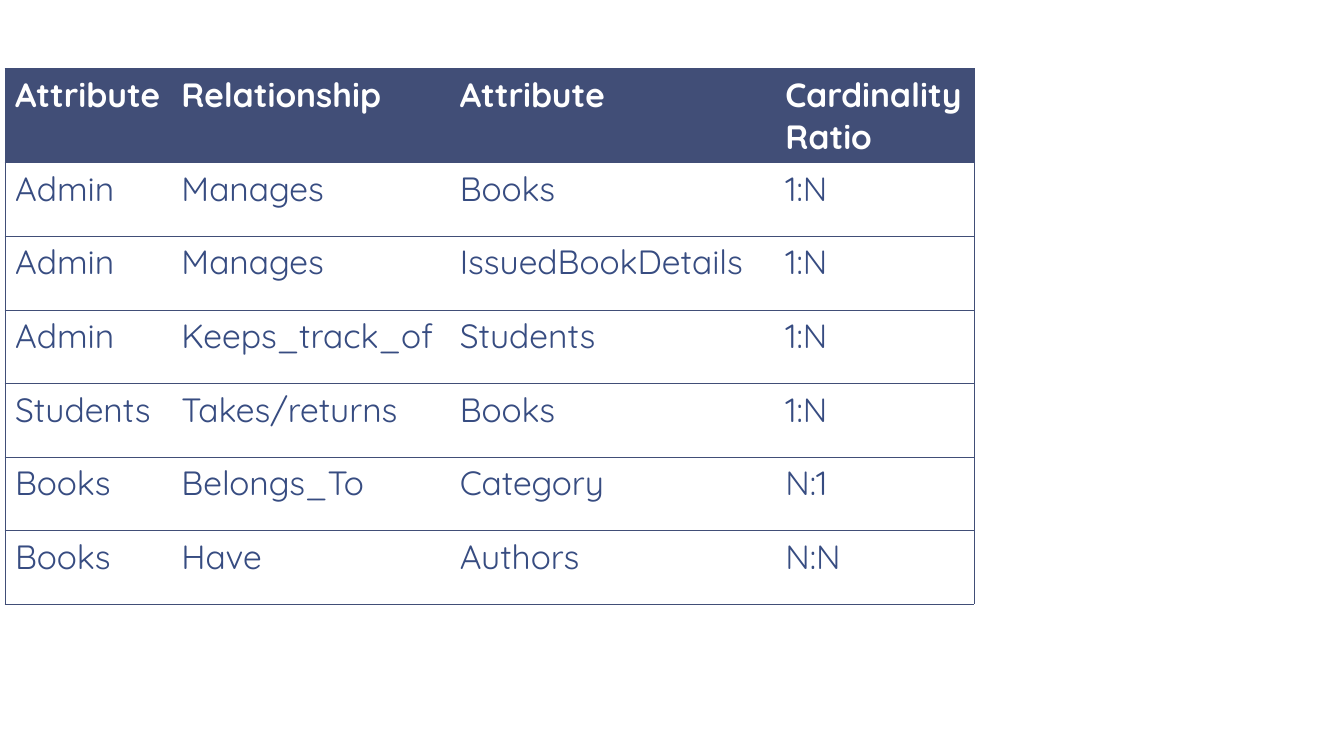
from dataclasses import dataclass

from lxml.etree import SubElement
from pptx import Presentation
from pptx.dml.color import RGBColor
from pptx.oxml.ns import qn
from pptx.util import Inches, Pt


@dataclass(frozen=True)
class Theme:
    font: str = "Quicksand"
    size: float = 24
    line: float = 0.5
    navy: str = "414E77"
    ink: str = "374C81"
    white: str = "FFFFFF"


@dataclass(frozen=True)
class Link:
    """One relationship between two entities."""
    source: str
    verb: str
    target: str
    ratio: str

    def texts(self) -> tuple[str, ...]:
        return self.source, self.verb, self.target, self.ratio


THEME = Theme()
HEAD = Link("Attribute", "Relationship", "Attribute", "Cardinality Ratio")
LINKS = [
    Link("Admin", "Manages", "Books", "1:N"),
    Link("Admin", "Manages", "IssuedBookDetails", "1:N"),
    Link("Admin", "Keeps_track_of", "Students", "1:N"),
    Link("Students", "Takes/returns", "Books", "1:N"),
    Link("Books", "Belongs_To", "Category", "N:1"),
    Link("Books", "Have", "Authors", "N:N"),
]
WIDTHS = [1.65, 2.76, 3.23, 1.97]
HEIGHT = 0.73
LEFT, TOP = 0.05, 0.68


def set_edges(cell, first: bool, last: bool) -> None:
    """Rule each row above and below; close only the table's outer sides."""
    shown = {"a:lnL": first, "a:lnR": last, "a:lnT": True, "a:lnB": True}
    props = cell._tc.get_or_add_tcPr()
    for tag, drawn in shown.items():
        edge = SubElement(props, qn(tag), w=str(Pt(THEME.line)))
        if drawn:
            fill = SubElement(edge, qn("a:solidFill"))
            SubElement(fill, qn("a:srgbClr"), val=THEME.navy)
        else:
            SubElement(edge, qn("a:noFill"))


def set_cell(cell, text: str, head: bool) -> None:
    if head:
        cell.fill.solid()
        cell.fill.fore_color.rgb = RGBColor.from_string(THEME.navy)
    else:
        cell.fill.background()
    run = cell.text_frame.paragraphs[0].add_run()
    run.text = text
    style = {"name": THEME.font, "size": Pt(THEME.size), "bold": head}
    for name, value in style.items():
        setattr(run.font, name, value)
    color = THEME.white if head else THEME.ink
    run.font.color.rgb = RGBColor.from_string(color)


def add_links(slide, links: list[Link]) -> None:
    rows = [HEAD, *links]
    frame = slide.shapes.add_table(
        len(rows), len(WIDTHS), Inches(LEFT), Inches(TOP),
        Inches(sum(WIDTHS)), Inches(HEIGHT * len(rows)))
    table = frame.table
    for name, value in {"first_row": False, "horz_banding": False}.items():
        setattr(table, name, value)
    for column, width in zip(table.columns, WIDTHS):
        column.width = Inches(width)
    for r, link in enumerate(rows):
        table.rows[r].height = Inches(HEIGHT)
        for c, text in enumerate(link.texts()):
            cell = table.cell(r, c)
            set_edges(cell, c == 0, c == len(WIDTHS) - 1)
            set_cell(cell, text, r == 0)


def main() -> None:
    deck = Presentation()
    deck.slide_width, deck.slide_height = Inches(13.33), Inches(7.5)
    slide = deck.slides.add_slide(deck.slide_layouts[6])
    add_links(slide, LINKS)
    deck.save("out.pptx")


if __name__ == "__main__":
    main()
